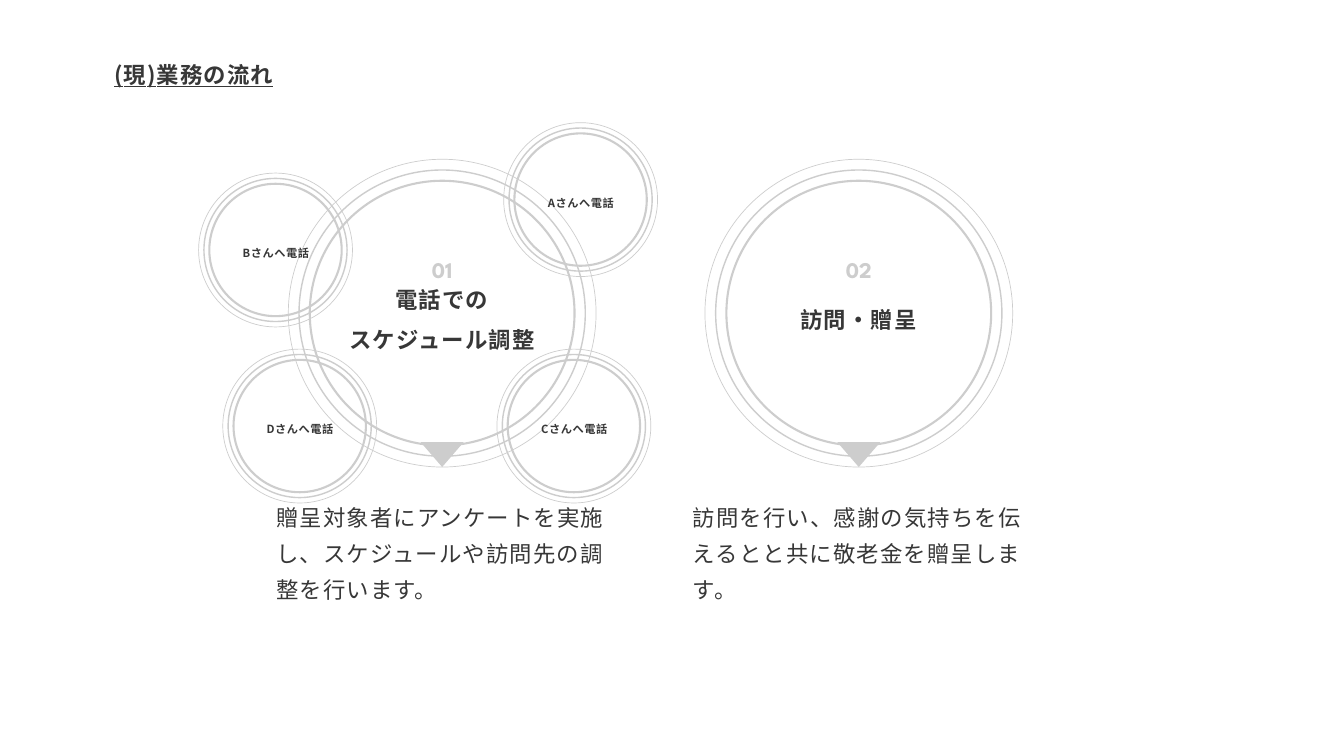
from dataclasses import dataclass

from lxml import etree
from pptx import Presentation, util as u
from pptx.dml.color import RGBColor
from pptx.enum import shapes, text
from pptx.oxml.ns import qn

PX = 9144
INK, GREY = "373737", "CDCDCD"
SANS, DISPLAY = "Noto Sans CJK JP", "League Spartan"
RING_WIDTHS = (0.75, 1.5, 2.25)
STEP_RINGS = (458, 426, 394)
CALL_RINGS = (229, 213, 197)
STEP_Y = 466


@dataclass
class Style:
    size: int
    leading: float
    color: str = INK
    font: str = SANS
    bold: bool = True
    underline: bool = False
    centred: bool = True
    tracking: int = 0


@dataclass
class Step:
    x: int
    number: str
    heading: str
    heading_top: int
    heading_height: int
    body: str


@dataclass
class Call:
    x: int
    y: int
    label: str


TITLE = Style(24, 38.4, underline=True, centred=False, tracking=120)
HEADING = Style(24, 43.2, tracking=120)
NUMBER = Style(24, 48, color=GREY, font=DISPLAY)
BODY = Style(24, 38.4, bold=False, centred=False, tracking=120)
LABEL = Style(12, 21.6, tracking=60)

STEPS = (
    Step(658, "01", "電話での\nスケジュール調整", 405, 129,
         "贈呈対象者にアンケートを実施し、スケジュールや訪問先の調整を行います。"),
    Step(1278, "02", "訪問・贈呈", 435, 70,
         "訪問を行い、感謝の気持ちを伝えるとと共に敬老金を贈呈します。"),
)
CALLS = (
    Call(864, 297, "Aさんへ電話"),
    Call(410, 372, "Bさんへ電話"),
    Call(854, 634, "Cさんへ電話"),
    Call(446, 634, "Dさんへ電話"),
)


def rgb(color: str) -> RGBColor:
    return RGBColor.from_string(color)


def emu(*lengths: float) -> list[int]:
    return [round(length * PX) for length in lengths]


def assign(target, values: dict) -> None:
    for name, value in values.items():
        setattr(target, name, value)


def add_text(parent, left: float, top: float, width: float, height: float,
             content: str, style: Style) -> None:
    box = parent.shapes.add_textbox(*emu(left, top, width, height))
    frame = box.text_frame
    assign(frame, dict(word_wrap=True, auto_size=text.MSO_AUTO_SIZE.SHAPE_TO_FIT_TEXT,
                       margin_left=0, margin_top=0, margin_right=0, margin_bottom=0))
    for index, line in enumerate(content.split("\n")):
        para = frame.add_paragraph() if index else frame.paragraphs[0]
        align = text.PP_ALIGN.CENTER if style.centred else text.PP_ALIGN.LEFT
        assign(para, dict(alignment=align, line_spacing=u.Pt(style.leading)))
        span = para.add_run()
        span.text = line
        assign(span.font, dict(name=style.font, size=u.Pt(style.size),
                               bold=style.bold, underline=style.underline))
        span.font.color.rgb = rgb(style.color)
        properties = span._r.get_or_add_rPr()
        properties.set("spc", str(style.tracking))
        etree.SubElement(properties, qn("a:ea"), typeface=style.font)


def add_rings(parent, x: int, y: int, diameters: tuple[int, ...]) -> None:
    for diameter, width in zip(diameters, RING_WIDTHS):
        ring = parent.shapes.add_shape(
            shapes.MSO_SHAPE.OVAL,
            *emu(x - diameter / 2, y - diameter / 2, diameter, diameter))
        ring.shadow.inherit = False
        ring.fill.background()
        ring.line.color.rgb = rgb(GREY)
        ring.line.width = u.Pt(width)


def add_pointer(parent, x: int) -> None:
    pointer = parent.shapes.add_shape(shapes.MSO_SHAPE.FLOWCHART_MERGE,
                                      *emu(x - 32, 658, 64, 37))
    pointer.shadow.inherit = False
    pointer.fill.solid()
    pointer.fill.fore_color.rgb = rgb(GREY)
    pointer.line.fill.background()


def add_step(page, step: Step) -> None:
    group = page.shapes.add_group_shape()
    add_rings(group, step.x, STEP_Y, STEP_RINGS)
    add_pointer(group, step.x)
    add_text(group, step.x - 247, 737, 494, 173, step.body, BODY)
    add_text(group, step.x - 156, step.heading_top, 311, step.heading_height,
             step.heading, HEADING)
    add_text(group, step.x - 91, 354, 182, 60, step.number, NUMBER)


def add_call(page, call: Call) -> None:
    group = page.shapes.add_group_shape()
    add_rings(group, call.x, call.y, CALL_RINGS)
    add_text(group, call.x - 77, call.y - 15, 155, 35, call.label, LABEL)


def main() -> None:
    """Build the slide on the current workflow and save it."""
    deck = Presentation()
    deck.slide_width, deck.slide_height = emu(2000, 1125)
    page = deck.slides.add_slide(deck.slide_layouts[6])
    add_text(page, 170, 77, 1160, 76, "(現)業務の流れ", TITLE)
    for step in STEPS:
        add_step(page, step)
    for call in CALLS:
        add_call(page, call)
    deck.save("out.pptx")


if __name__ == "__main__":
    main()
